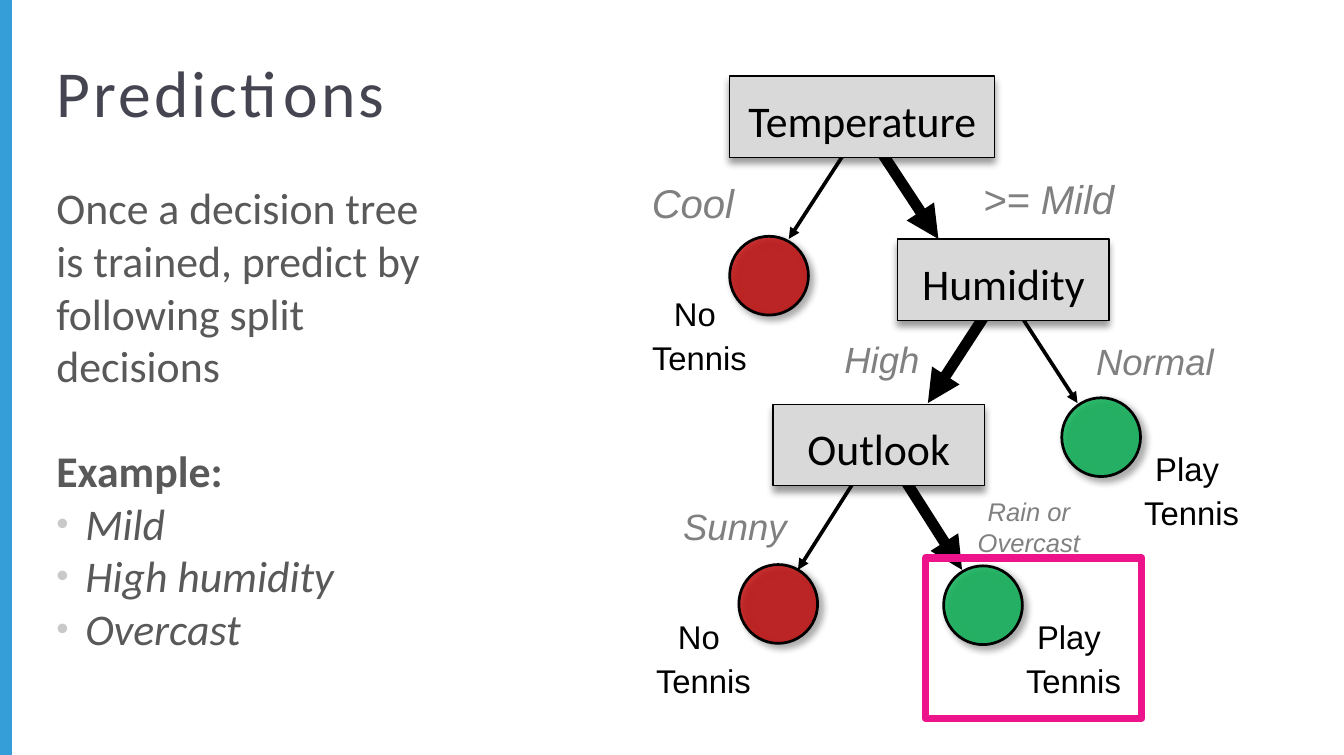
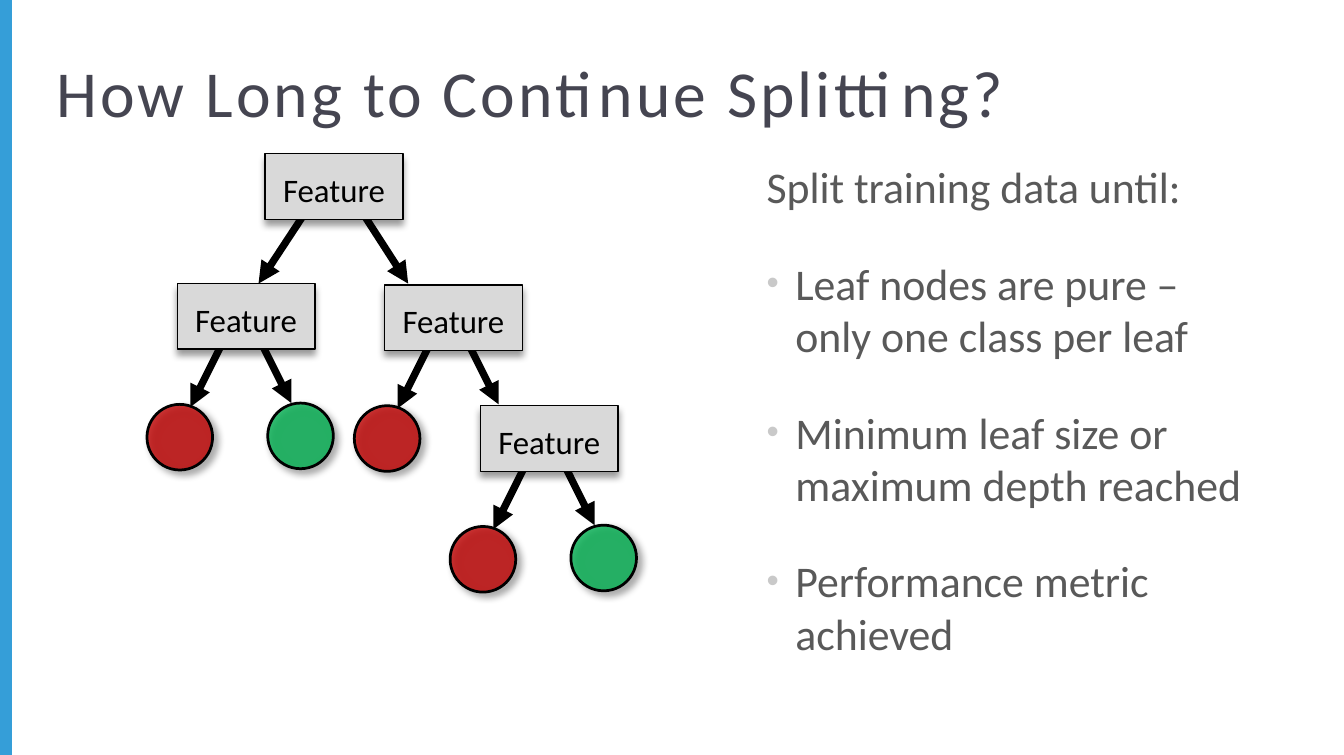
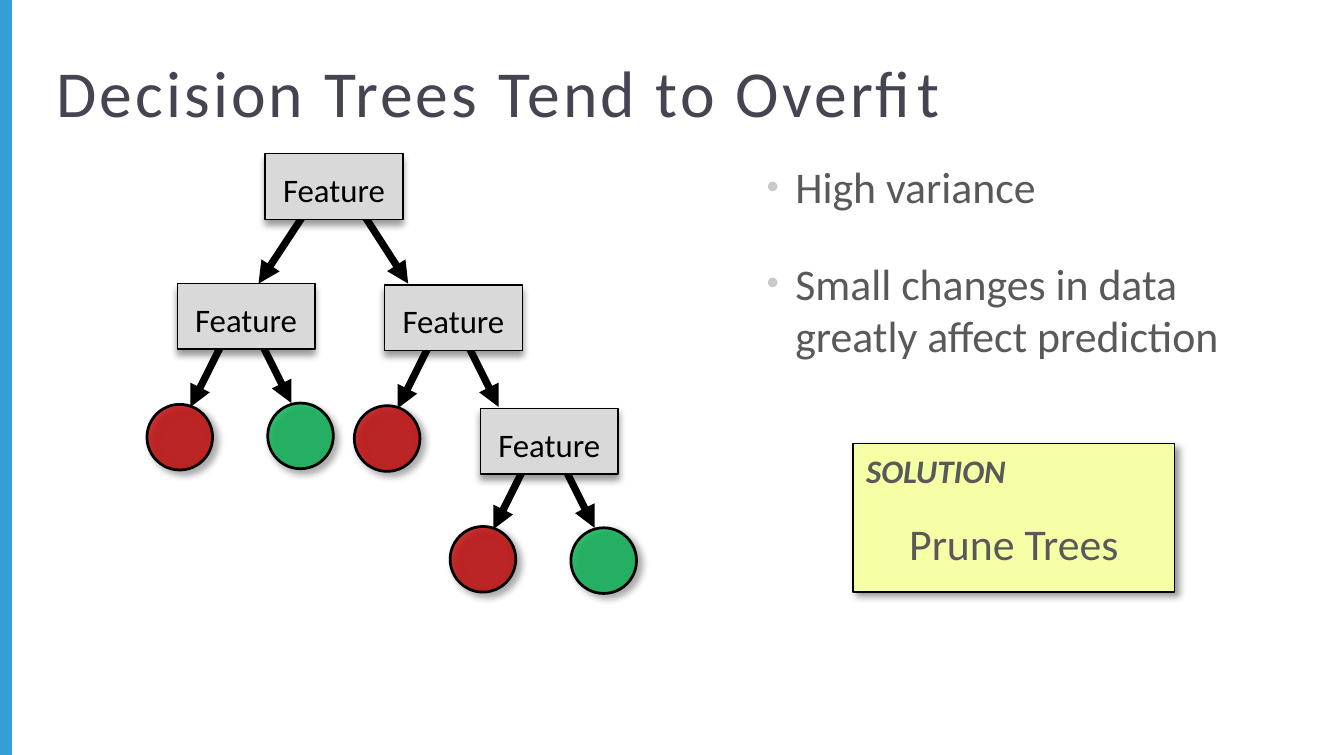
"""Builds three slides about decision trees: predictions, splitting and overfitting."""
from lxml.etree import SubElement
from pptx import Presentation
from pptx.dml.color import RGBColor
from pptx.enum.shapes import MSO_CONNECTOR as Connector, MSO_SHAPE as Shape
from pptx.enum.text import MSO_ANCHOR as Anchor, MSO_AUTO_SIZE as AutoSize, PP_ALIGN as Align
from pptx.oxml.ns import qn
from pptx.util import Pt

PX = 9144
WIDTH, HEIGHT = 1024, 575

BLACK = RGBColor(0x00, 0x00, 0x00)
BLUE = RGBColor(0x35, 0x9E, 0xD8)
TITLE_INK = RGBColor(0x45, 0x45, 0x51)
BODY_INK = RGBColor(0x59, 0x59, 0x59)
LABEL_GRAY = RGBColor(0x80, 0x80, 0x80)
BULLET_GRAY = RGBColor(0xC9, 0xC9, 0xC9)
NODE_GRAY = RGBColor(0xD9, 0xD9, 0xD9)
RED = RGBColor(0xC0, 0x00, 0x00)
GREEN = RGBColor(0x00, 0xB0, 0x50)
PINK = RGBColor(0xEC, 0x13, 0x8B)
YELLOW = RGBColor(0xF5, 0xFF, 0xA6)


class Deck:
    """Holds the shared style and the current slide."""

    def __init__(self):
        self.presentation = Presentation()
        self.presentation.slide_width = WIDTH * PX
        self.presentation.slide_height = HEIGHT * PX
        self.slide = None

    def new_slide(self, title):
        layout = self.presentation.slide_layouts[1]
        self.slide = self.presentation.slides.add_slide(layout)
        self.shape(Shape.RECTANGLE, (0, 0, 9, HEIGHT), fill=BLUE)
        holder = self.slide.shapes.title
        self.place(holder, (33, 28, 811, 83))
        frame = holder.text_frame
        self.set_frame(frame, Anchor.MIDDLE, (10, 5, 10, 5))
        run = self.add_text(frame.paragraphs[0], title, 36, TITLE_INK, align=Align.LEFT)
        run._r.get_or_add_rPr().set("spc", "170")

    def place(self, shape, box):
        shape.left, shape.top, shape.width, shape.height = (value * PX for value in box)

    def set_frame(self, frame, anchor, insets):
        frame.word_wrap = True
        frame.auto_size = AutoSize.NONE
        frame.vertical_anchor = anchor
        (frame.margin_left, frame.margin_top,
         frame.margin_right, frame.margin_bottom) = (value * PX for value in insets)

    def add_text(self, paragraph, text, size, color, font="Calibri",
                 bold=False, italic=False, align=Align.CENTER, before=0):
        paragraph.alignment = align
        paragraph.space_before = Pt(before)
        run = paragraph.add_run()
        run.text = text
        run.font.name = font
        run.font.size = Pt(size)
        run.font.color.rgb = color
        run.font.bold = bold
        run.font.italic = italic
        return run

    def paragraph(self, frame, index):
        return frame.add_paragraph() if index else frame.paragraphs[0]

    def body(self, box, items):
        holder = self.slide.placeholders[1]
        self.place(holder, box)
        frame = holder.text_frame
        self.set_frame(frame, Anchor.TOP, (10, 5, 10, 5))
        for index, (text, bulleted, style) in enumerate(items):
            paragraph = self.paragraph(frame, index)
            self.set_bullet(paragraph, bulleted)
            self.add_text(paragraph, text, 24, BODY_INK, align=Align.LEFT, **style)

    def set_bullet(self, paragraph, bulleted):
        properties = paragraph._p.get_or_add_pPr()
        indent = 22 * PX if bulleted else 0
        properties.set("marL", str(indent))
        properties.set("indent", str(-indent))
        if not bulleted:
            SubElement(properties, qn("a:buNone"))
            return
        color = SubElement(properties, qn("a:buClr"))
        SubElement(color, qn("a:srgbClr"), val=str(BULLET_GRAY))
        SubElement(properties, qn("a:buSzPct"), val="80000")
        SubElement(properties, qn("a:buFont"), typeface="Arial")
        SubElement(properties, qn("a:buChar"), char="•")

    def shape(self, kind, box, fill=None, line=None, weight=0.75, opacity=None, shadow=None):
        shape = self.slide.shapes.add_shape(kind, *(value * PX for value in box))
        shape.shadow.inherit = False
        properties = shape.element.spPr
        if fill is None:
            shape.fill.background()
        else:
            shape.fill.solid()
            shape.fill.fore_color.rgb = fill
        if opacity:
            color = properties.find(".//" + qn("a:srgbClr"))
            SubElement(color, qn("a:alpha"), val=str(opacity * 1000))
        if line is None:
            shape.line.fill.background()
        else:
            shape.line.color.rgb = line
            shape.line.width = Pt(weight)
        if shadow:
            outer = SubElement(properties.find(qn("a:effectLst")), qn("a:outerShdw"),
                               blurRad=str(int(Pt(4))), dist=str(int(Pt(3))),
                               dir=str(shadow * 60000), rotWithShape="0")
            color = SubElement(outer, qn("a:srgbClr"), val=str(BLACK))
            SubElement(color, qn("a:alpha"), val="40000")
        return shape

    def node(self, box, text, size, top_inset):
        shape = self.shape(Shape.RECTANGLE, box, NODE_GRAY, BLACK, shadow=90)
        frame = shape.text_frame
        self.set_frame(frame, Anchor.MIDDLE, (0, top_inset, 0, 10))
        frame.paragraphs[0].line_spacing = Pt(32)
        self.add_text(frame.paragraphs[0], text, size, BLACK)

    def leaf(self, x, y, size, color):
        self.shape(Shape.OVAL, (x, y, size, size), color, BLACK, 1.5, opacity=79, shadow=45)

    def label(self, x, y, height, lines, size, color, italic=False):
        box = self.slide.shapes.add_textbox(x * PX, y * PX, 124 * PX, height * PX)
        self.set_frame(box.text_frame, Anchor.TOP, (0, 3, 0, 0))
        for index, text in enumerate(lines):
            self.add_text(self.paragraph(box.text_frame, index), text, size, color, "Arial",
                          italic=italic, before=2.4 if index else 0)

    def arrow(self, start, end, weight):
        ends = (value * PX for value in (*start, *end))
        arrow = self.slide.shapes.add_connector(Connector.STRAIGHT, *ends)
        arrow.line.color.rgb = BLACK
        arrow.line.width = Pt(weight)
        properties = arrow.element.spPr
        SubElement(properties.get_or_add_ln(), qn("a:tailEnd"), type="triangle")
        SubElement(properties, qn("a:effectLst"))

    def feature_tree(self, drop=0):
        left, middle, lower = (135, 216), (293, 217), (366, 309)
        middle_dropped, lower_dropped = ((x, y + drop) for x, y in (middle, lower))
        self.arrow((247, 140), (197, 216), 4)
        self.arrow((262, 140), (311, 216), 4)
        for x, y in (left, middle, lower):
            self.arrow((x + 50, y + 14), (x + 10, y + 94), 4)
        for x, y in (left, middle_dropped, lower_dropped):
            self.arrow((x + 47, y + 11), (x + 87, y + 91), 4)
        for x, y in ((202, 117), left, middle, lower_dropped):
            self.node((x, y, 105, 50), "Feature", 18, 0)
        for x, y in (left, middle, lower):
            self.leaf(x - 23, y + 92, 50, RED)
        for x, y in (left, lower_dropped):
            self.leaf(x + 69, y + 91, 50, GREEN)

    def solution(self, box, heading, text):
        shape = self.shape(Shape.RECTANGLE, box, YELLOW, BLACK, shadow=45)
        frame = shape.text_frame
        self.set_frame(frame, Anchor.TOP, (10, 5, 10, 5))
        self.add_text(frame.paragraphs[0], heading, 18, BODY_INK,
                      bold=True, italic=True, align=Align.LEFT)
        self.add_text(frame.add_paragraph(), text, 24, BODY_INK, before=15)


def predictions(deck):
    deck.new_slide("Predictions")
    deck.body((33, 133, 304, 397), [
        ("Once a decision tree is trained, predict by following split decisions", False, {}),
        ("Example:", False, {"bold": True, "before": 29}),
        *((text, True, {"italic": True}) for text in ("Mild", "High humidity", "Overcast")),
    ])
    for start, end, weight in (
        ((651, 105), (601, 182), 2), ((665, 106), (715, 182), 6),
        ((757, 230), (707, 307), 6), ((771, 230), (821, 307), 2),
        ((657, 357), (608, 434), 2), ((684, 357), (733, 434), 6),
    ):
        deck.arrow(start, end, weight)
    for x, y, width, text in ((556, 58, 202, "Temperature"), (684, 182, 161, "Humidity"),
                              (589, 308, 161, "Outlook")):
        deck.node((x, y, width, 62), text, 24, 10)
    for x, y, color in ((556, 180, RED), (563, 430, RED), (809, 303, GREEN), (719, 431, GREEN)):
        deck.leaf(x, y, 60, color)
    for x, y, answer in ((471, 221, "No "), (474, 467, "No "),
                         (846, 339, "Play "), (756, 467, "Play ")):
        deck.label(x, y, 67, (answer, "Tennis"), 18, BLACK)
    for x, y, height, text, size in (
        (466, 133, 40, "Cool", 22), (737, 130, 40, ">= Mild", 22),
        (610, 254, 37, "High", 20), (818, 255, 37, "Normal", 20),
        (498, 381, 37, "Sunny", 20), (722, 375, 50, "Rain or Overcast", 14),
    ):
        deck.label(x, y, height, (text,), size, LABEL_GRAY, italic=True)
    deck.shape(Shape.RECTANGLE, (705, 425, 165, 122), line=PINK, weight=4)


def splitting(deck):
    deck.new_slide("How Long to Continue Splitting?")
    deck.feature_tree()
    deck.body((574, 117, 397, 396), [
        ("Split training data until:", False, {}),
        *((text, True, {"before": 24}) for text in (
            "Leaf nodes are pure – only one class per leaf",
            "Minimum leaf size or maximum depth reached",
            "Performance metric achieved",
        )),
    ])


def overfitting(deck):
    deck.new_slide("Decision Trees Tend to Overfit")
    deck.feature_tree(drop=2)
    deck.body((574, 117, 397, 191), [
        ("High variance", True, {}),
        ("Small changes in data greatly affect prediction", True, {"before": 24}),
    ])
    deck.solution((650, 338, 245, 113), "SOLUTION", "Prune Trees")


def main():
    deck = Deck()
    predictions(deck)
    splitting(deck)
    overfitting(deck)
    deck.presentation.save("out.pptx")


if __name__ == "__main__":
    main()
